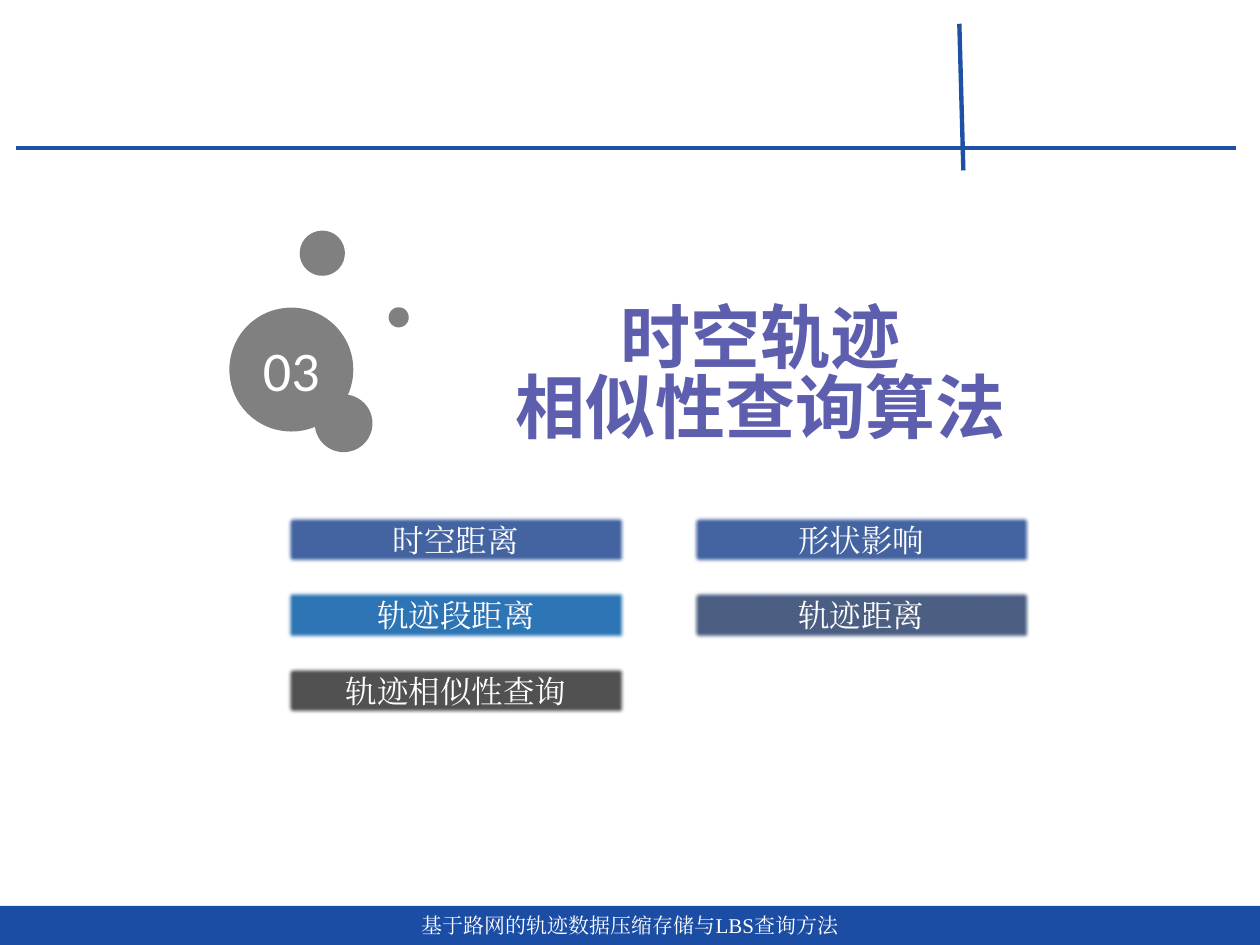
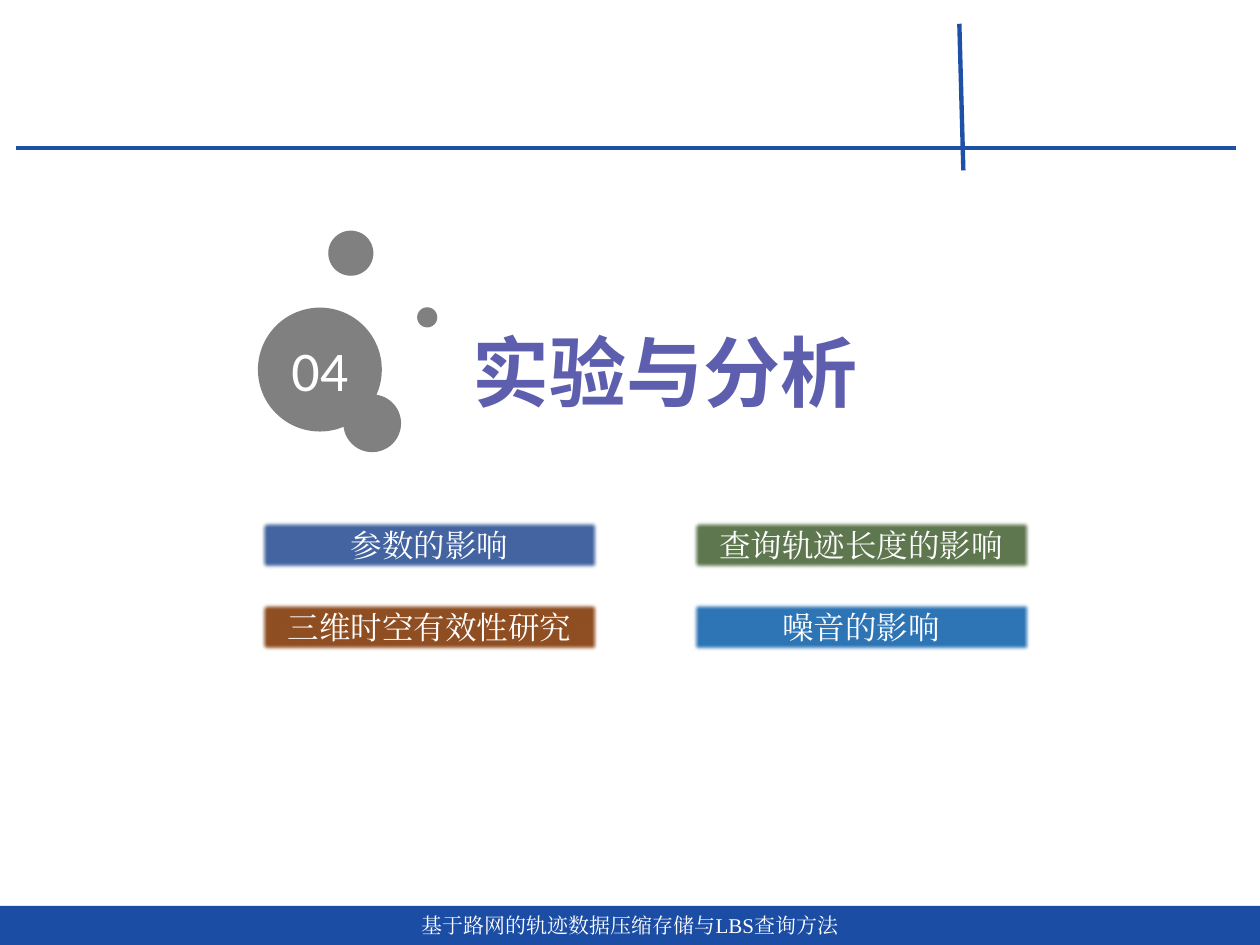
from dataclasses import dataclass
from itertools import product
from typing import Optional

from lxml.etree import SubElement
from pptx import Presentation
from pptx.dml.color import RGBColor
from pptx.enum.shapes import MSO_CONNECTOR, MSO_SHAPE
from pptx.enum.text import MSO_ANCHOR, PP_ALIGN
from pptx.oxml.ns import qn
from pptx.util import Pt


@dataclass(frozen=True)
class Theme:
    rule: str = "1E50A6"
    footer: str = "1B4DA5"
    title: str = "5E5EAF"
    bubble: str = "808080"
    white: str = "FFFFFF"
    blue: str = "2F5597"
    sky: str = "2E75B6"
    navy: str = "203864"
    charcoal: str = "404040"
    brown: str = "843C0B"
    green: str = "385723"
    body_font: str = "Times New Roman"
    title_font: str = "Noto Sans CJK SC"
    number_font: str = "Calibri"
    footer_size: int = 12
    label_size: int = 18
    number_size: int = 32


@dataclass(frozen=True)
class Box:
    left: float
    top: float
    width: float
    height: float

    def points(self) -> tuple:
        return Pt(self.left), Pt(self.top), Pt(self.width), Pt(self.height)


@dataclass(frozen=True)
class Bubble:
    dx: float
    dy: float
    size: float


@dataclass(frozen=True)
class TextStyle:
    font: str
    size: int
    color: str
    bold: bool = False


@dataclass(frozen=True)
class Label:
    text: str
    color: str
    opacity: int = 100


@dataclass(frozen=True)
class Section:
    number: str
    title: str
    title_size: int
    title_box: Box
    bubble_left: float
    columns: tuple[float, float]
    label_top: float
    row_pitch: float
    labels: tuple[Label, ...]


THEME = Theme()
PAGE_WIDTH, PAGE_HEIGHT = 720, 540
FOOTER_TEXT = "基于路网的轨迹数据压缩存储与LBS查询方法"
FOOTER_BOX = Box(0, 517.7, PAGE_WIDTH, 22.3)
FOOTER_STYLE = TextStyle(THEME.body_font, THEME.footer_size, THEME.white)
LABEL_STYLE = TextStyle(THEME.body_font, THEME.label_size, THEME.white)
NUMBER_STYLE = TextStyle(THEME.number_font, THEME.number_size, THEME.white)
RULES = ((9, 84.6, 706.3, 84.6), (548.2, 13.6, 550.5, 97.4))
RULE_WIDTH = 2.5
BUBBLE_TOP = 175.8
BUBBLES = (Bubble(0, 0, 70.8), Bubble(48.8, 49.6, 33),
           Bubble(40.2, -44, 25.8), Bubble(91, -0.2, 11.5))
LABEL_WIDTH, LABEL_HEIGHT = 194.4, 28.8
SOFT_EDGE = 2.5
FOLLOWING_LINE_SPACING = 0.83

SECTIONS = (
    Section("03", "时空轨迹\n相似性查询算法", 40, Box(195.1, 149.8, 478.8, 123.8),
            131.1, (163.4, 394.9), 293.9, 43.2,
            (Label("时空距离", THEME.blue, 90),
             Label("形状影响", THEME.blue, 90),
             Label("轨迹段距离", THEME.sky),
             Label("轨迹距离", THEME.navy, 80),
             Label("轨迹相似性查询", THEME.charcoal, 90))),
    Section("04", "实验与分析", 44, Box(166.3, 149.8, 427.7, 123.8),
            147.4, (148.3, 394.9), 297.1, 46.8,
            (Label("参数的影响", THEME.blue, 90),
             Label("查询轨迹长度的影响", THEME.green, 80),
             Label("三维时空有效性研究", THEME.brown, 90),
             Label("噪音的影响", THEME.sky))),
)


def write_text(shape, text: str, style: TextStyle) -> None:
    frame = shape.text_frame
    frame.word_wrap = True
    frame.vertical_anchor = MSO_ANCHOR.MIDDLE
    frame.margin_top = frame.margin_bottom = 0
    frame.text = text
    for para in frame.paragraphs:
        para.alignment = PP_ALIGN.CENTER
        for span in para.runs:
            span.font.size = Pt(style.size)
            span.font.bold = style.bold
            span.font.color.rgb = RGBColor.from_string(style.color)
            span.font.name = style.font
            properties = span.font._element
            SubElement(properties, qn("a:ea"), typeface=style.font)


def add_filled(page, kind: MSO_SHAPE, box: Box, color: str,
               text: str = "", style: Optional[TextStyle] = None):
    shape = page.shapes.add_shape(kind, *box.points())
    shape.shadow.inherit = False
    shape.fill.solid()
    shape.fill.fore_color.rgb = RGBColor.from_string(color)
    shape.line.fill.background()
    if style:
        write_text(shape, text, style)
    return shape


def add_frame(page) -> None:
    for x1, y1, x2, y2 in RULES:
        rule = page.shapes.add_connector(
            MSO_CONNECTOR.STRAIGHT, Pt(x1), Pt(y1), Pt(x2), Pt(y2))
        rule.line.color.rgb = RGBColor.from_string(THEME.rule)
        rule.line.width = Pt(RULE_WIDTH)
        SubElement(rule._element.spPr, qn("a:effectLst"))
    add_filled(page, MSO_SHAPE.RECTANGLE, FOOTER_BOX, THEME.footer,
               FOOTER_TEXT, FOOTER_STYLE)


def add_title(page, section: Section) -> None:
    title = page.shapes.add_textbox(*section.title_box.points())
    write_text(title, section.title,
               TextStyle(THEME.title_font, section.title_size, THEME.title, True))
    for para in title.text_frame.paragraphs[1:]:
        para.line_spacing = FOLLOWING_LINE_SPACING


def add_bubbles(page, section: Section) -> None:
    circles = [
        add_filled(page, MSO_SHAPE.FLOWCHART_CONNECTOR,
                   Box(section.bubble_left + bubble.dx, BUBBLE_TOP + bubble.dy,
                       bubble.size, bubble.size), THEME.bubble)
        for bubble in BUBBLES
    ]
    write_text(circles[0], section.number, NUMBER_STYLE)


def add_label(page, label: Label, box: Box) -> None:
    shape = add_filled(page, MSO_SHAPE.RECTANGLE, box, label.color,
                       label.text, LABEL_STYLE)
    properties = shape._element.spPr
    if label.opacity < 100:
        color = properties.find(qn("a:solidFill")).find(qn("a:srgbClr"))
        SubElement(color, qn("a:alpha"), val=str(label.opacity * 1000))
    SubElement(properties.find(qn("a:effectLst")), qn("a:softEdge"),
               rad=str(Pt(SOFT_EDGE)))


def add_section(deck, section: Section) -> None:
    page = deck.slides.add_slide(deck.slide_layouts[6])
    add_frame(page)
    add_title(page, section)
    add_bubbles(page, section)
    for label, (row, left) in zip(section.labels, product(range(3), section.columns)):
        top = section.label_top + row * section.row_pitch
        add_label(page, label, Box(left, top, LABEL_WIDTH, LABEL_HEIGHT))


def main() -> None:
    deck = Presentation()
    deck.slide_width, deck.slide_height = Pt(PAGE_WIDTH), Pt(PAGE_HEIGHT)
    for section in SECTIONS:
        add_section(deck, section)
    deck.save("out.pptx")


if __name__ == "__main__":
    main()
